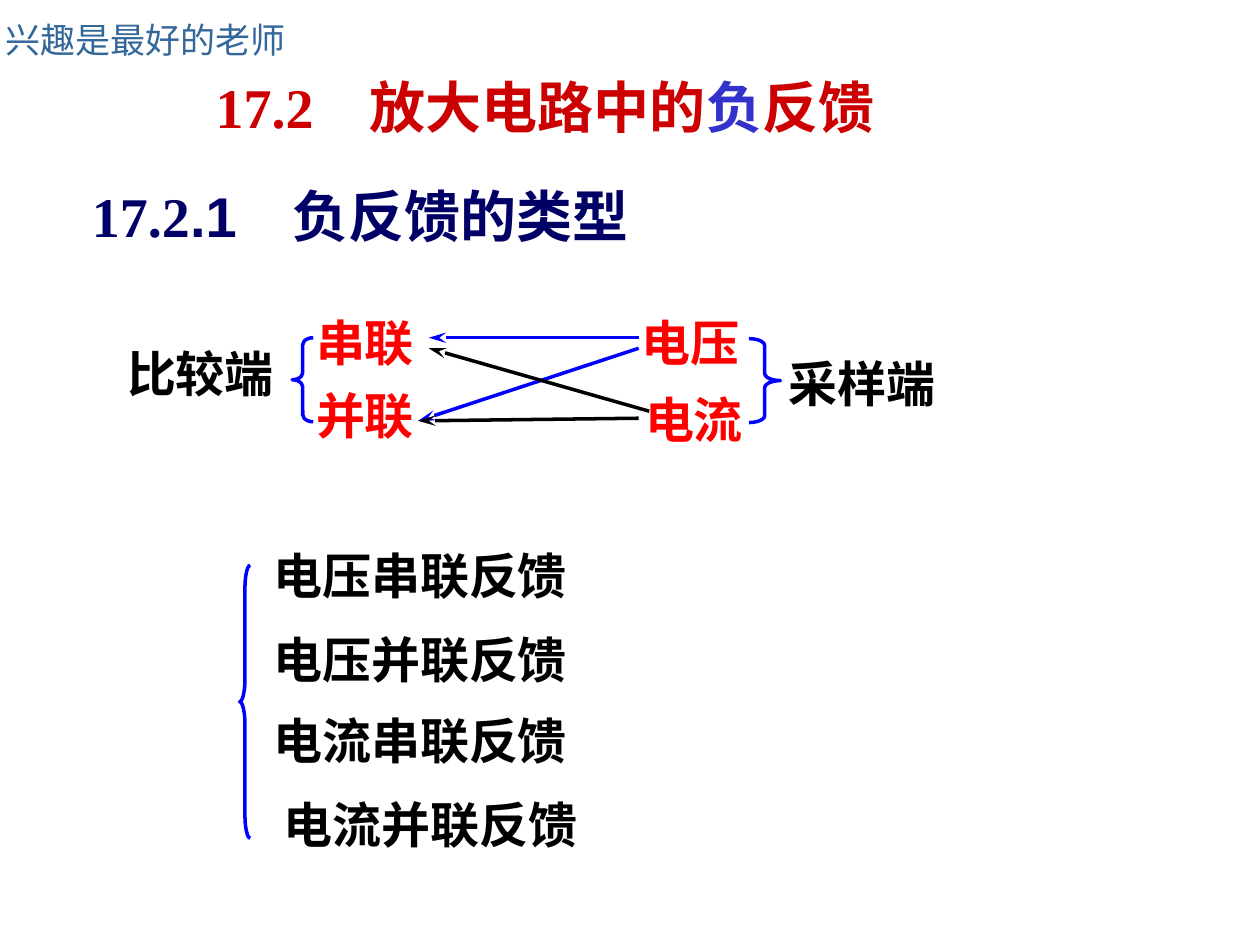
from dataclasses import dataclass

from lxml.etree import SubElement
from pptx import Presentation
from pptx.dml.color import RGBColor
from pptx.enum.shapes import MSO_CONNECTOR as Connector
from pptx.enum.shapes import MSO_SHAPE as Shape
from pptx.enum.text import MSO_ANCHOR as Anchor
from pptx.enum.text import MSO_AUTO_SIZE as AutoSize
from pptx.enum.text import PP_ALIGN as Align
from pptx.oxml.ns import qn
from pptx.util import Pt


@dataclass(frozen=True)
class Theme:
    serif: str = "Times New Roman"
    sans: str = "Arial"
    chinese: str = "Noto Sans CJK SC"
    tagline: str = "336699"
    title: str = "CC0000"
    accent: str = "3333CC"
    section: str = "000066"
    term: str = "FF0000"
    ink: str = "000000"
    blue: str = "0000FF"
    title_size: int = 32
    body_size: int = 28
    tagline_size: int = 20
    line_width: int = 2


THEME = Theme()


def color(value):
    return RGBColor.from_string(value)


def place(shape, left, top, width, height):
    shape.left, shape.top = Pt(left), Pt(top)
    shape.width, shape.height = Pt(width), Pt(height)


def style(font, size, ink, name=THEME.serif, bold=True):
    font.size, font.bold, font.name = Pt(size), bold, name
    font.color.rgb = color(ink)


def add_text(slide, text, box, size, ink, name=THEME.serif, bold=True):
    frame = slide.shapes.add_textbox(*map(Pt, box)).text_frame
    frame.word_wrap = True
    frame.margin_right = 0
    paragraph = frame.paragraphs[0]
    paragraph.text = text
    style(paragraph.font, size, ink, name, bold)


def add_runs(paragraph, runs):
    for text, ink, name in runs:
        run = paragraph.add_run()
        run.text = text
        style(run.font, THEME.title_size, ink, name)


def fill_title(slide):
    title = slide.shapes.title
    place(title, 116, 38, 479, 46)
    frame = title.text_frame
    frame.vertical_anchor, frame.auto_size = Anchor.TOP, AutoSize.NONE
    paragraph = frame.paragraphs[0]
    paragraph.alignment = Align.LEFT
    add_runs(paragraph, (("17.2\u3000放大电路中的", THEME.title, THEME.serif),
                         ("负", THEME.accent, THEME.serif),
                         ("反馈", THEME.title, THEME.serif)))


def add_section(slide):
    frame = slide.shapes.add_textbox(Pt(45.5), Pt(100), Pt(479), Pt(46)).text_frame
    frame.word_wrap = True
    add_runs(frame.paragraphs[0], (("17.2", THEME.section, THEME.serif),
                                   (".1", THEME.section, THEME.sans),
                                   ("\u3000负反馈的类型", THEME.section, THEME.serif)))


def fill_list(slide, items):
    body = slide.placeholders[1]
    place(body, 149, 302, 234, 195)
    frame = body.text_frame
    frame.auto_size = AutoSize.NONE
    for index, (text, gap, indent) in enumerate(items):
        paragraph = frame.add_paragraph() if index else frame.paragraphs[0]
        paragraph.text = text
        paragraph.line_spacing, paragraph.space_before = Pt(40), Pt(gap)
        properties = paragraph._p.get_or_add_pPr()
        properties.set("marL", str(Pt(indent)))
        properties.set("indent", "0")
        SubElement(properties, qn("a:buNone"))
        style(paragraph.font, THEME.body_size, THEME.ink)


def add_brace(slide, kind, left, top, width, height):
    brace = slide.shapes.add_shape(kind, Pt(left), Pt(top), Pt(width), Pt(height))
    brace.adjustments[0] = height / 12 / width
    brace.shadow.inherit = False
    brace.fill.background()
    brace.line.color.rgb = color(THEME.blue)
    brace.line.width = Pt(THEME.line_width)


def add_arrow(slide, start, end, ink):
    arrow = slide.shapes.add_connector(Connector.STRAIGHT, *map(Pt, start + end))
    arrow.line.color.rgb = color(ink)
    arrow.line.width = Pt(THEME.line_width)
    SubElement(arrow.line._get_or_add_ln(), qn("a:tailEnd"),
               type="stealth", w="med", len="lg")
    SubElement(arrow._element.spPr, qn("a:effectLst"))


def main():
    presentation = Presentation()
    presentation.slide_width, presentation.slide_height = Pt(720), Pt(540)
    slide = presentation.slides.add_slide(presentation.slide_layouts[1])

    add_text(slide, "兴趣是最好的老师", (-4, 7, 180, 30),
             THEME.tagline_size, THEME.tagline, THEME.chinese, False)
    fill_title(slide)
    add_section(slide)

    for text, left, top, width, ink in (
            ("比较端", 65.5, 193, 98, THEME.ink),
            ("串联", 173.5, 175, 70, THEME.term),
            ("并联", 173.5, 217, 70, THEME.term),
            ("采样端", 443.5, 198.5, 98, THEME.ink),
            ("电压", 359.5, 175, 70, THEME.term),
            ("电流", 361.5, 219, 70, THEME.term)):
        add_text(slide, text, (left, top, width, 41), THEME.body_size, ink)

    for kind, box in ((Shape.LEFT_BRACE, (167, 193, 12, 48)),
                      (Shape.RIGHT_BRACE, (428, 193.5, 18, 48)),
                      (Shape.LEFT_BRACE, (137, 323, 6, 156))):
        add_brace(slide, kind, *box)

    series, parallel = (245, 193), (239, 240.5)
    for start, end, ink in (((365, 193), series, THEME.blue),
                            ((365, 199), parallel, THEME.blue),
                            ((371, 235), (245, 199), THEME.ink),
                            ((365, 239), parallel, THEME.ink)):
        add_arrow(slide, start, end, ink)

    fill_list(slide, (("电压串联反馈", 0, 0), ("电压并联反馈", 8, 0),
                      ("电流串联反馈", 6, 0), ("电流并联反馈", 8, 6)))
    presentation.save("out.pptx")


if __name__ == "__main__":
    main()
